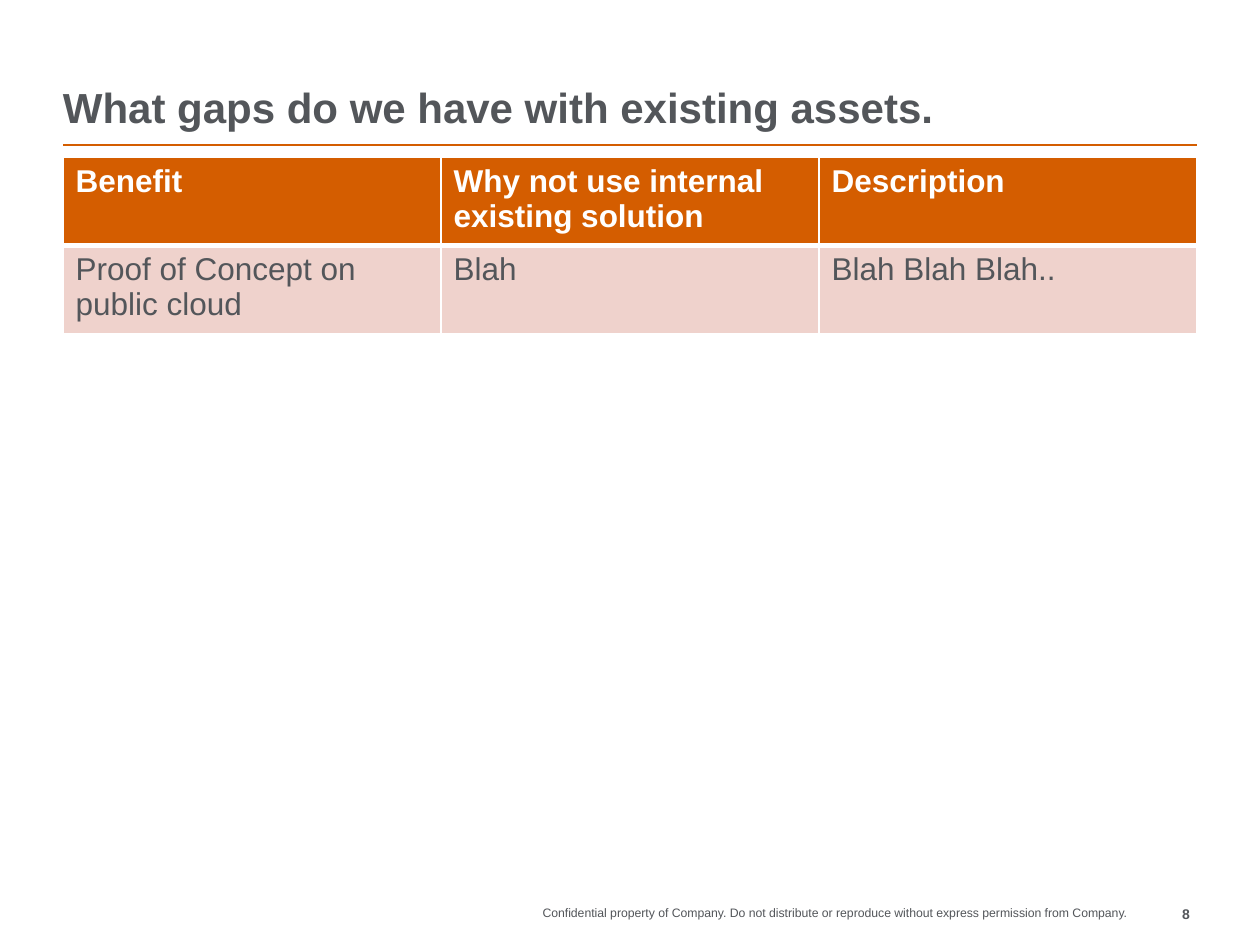
from dataclasses import dataclass

from lxml.etree import SubElement
from pptx import Presentation
from pptx.dml.color import RGBColor
from pptx.enum.shapes import MSO_CONNECTOR
from pptx.enum.text import MSO_ANCHOR, PP_ALIGN
from pptx.oxml.ns import qn
from pptx.util import Pt


@dataclass(frozen=True)
class Theme:
    font: str = "Arial"
    orange: str = "D45D00"
    pink: str = "EFD2CC"
    gray: str = "53565A"
    white: str = "FFFFFF"
    title: int = 24
    body: int = 18
    note: int = 7
    page: int = 8


THEME = Theme()
LEFT, WIDTH = 36, 648
ROWS = [
    ["Benefit", "Why not use internal existing solution", "Description"],
    ["Proof of Concept on public cloud", "Blah", "Blah Blah Blah.."],
]
NOTE = ("Confidential property of Company. Do not distribute or reproduce "
        "without express permission from Company.")


def write(frame, text, size, color, bold=False, align=PP_ALIGN.LEFT):
    para = frame.paragraphs[0]
    para.alignment = align
    run = para.add_run()
    run.text = text
    style = {"name": THEME.font, "size": Pt(size), "bold": bold}
    for key, value in style.items():
        setattr(run.font, key, value)
    run.font.color.rgb = RGBColor.from_string(color)


def add_text(slide, box, text, size, anchor=MSO_ANCHOR.TOP, **style):
    frame = slide.shapes.add_textbox(*map(Pt, box)).text_frame
    form = {"word_wrap": True, "vertical_anchor": anchor, "margin_left": 0,
            "margin_top": 0, "margin_right": 0, "margin_bottom": 0}
    for key, value in form.items():
        setattr(frame, key, value)
    write(frame, text, size, THEME.gray, **style)


def add_rule(slide, top):
    ends = map(Pt, (LEFT, top, LEFT + WIDTH, top))
    rule = slide.shapes.add_connector(MSO_CONNECTOR.STRAIGHT, *ends)
    rule.line.color.rgb = RGBColor.from_string(THEME.orange)
    rule.line.width = Pt(1)
    SubElement(rule._element.spPr, qn("a:effectLst"))


def set_edges(cell, edges):
    """Draw white cell borders, given widths by side; call before the fill."""
    props = cell._tc.get_or_add_tcPr()
    for side, width in edges.items():
        edge = SubElement(props, qn(f"a:ln{side}"), w=str(Pt(width)))
        fill = SubElement(edge, qn("a:solidFill"))
        SubElement(fill, qn("a:srgbClr"), val=THEME.white)


def add_grid(slide, top, high):
    box = map(Pt, (LEFT, top, WIDTH, high * len(ROWS)))
    grid = slide.shapes.add_table(len(ROWS), len(ROWS[0]), *box).table
    for r, row in enumerate(ROWS):
        head = r == 0
        back = THEME.orange if head else THEME.pink
        ink = THEME.white if head else THEME.gray
        edges = {"L": 1, "R": 1, "T": 1 if head else 3, "B": 3 if head else 1}
        for c, text in enumerate(row):
            cell = grid.cell(r, c)
            set_edges(cell, edges)
            cell.fill.solid()
            cell.fill.fore_color.rgb = RGBColor.from_string(back)
            write(cell.text_frame, text, THEME.body, ink, bold=head)


def main():
    deck = Presentation()
    deck.slide_width, deck.slide_height = Pt(720), Pt(540)
    slide = deck.slides.add_slide(deck.slide_layouts[6])
    add_rule(slide, 82.8)
    add_text(slide, (240, 517.5, 404, 16.5), NOTE, THEME.note,
             align=PP_ALIGN.RIGHT)
    add_text(slide, (644, 517.5, 36, 16.5), "8", THEME.page, bold=True,
             align=PP_ALIGN.RIGHT)
    add_text(slide, (LEFT, 15, WIDTH, 60.5),
             "What gaps do we have with existing assets.", THEME.title,
             anchor=MSO_ANCHOR.BOTTOM, bold=True)
    add_grid(slide, 90, 29.2)
    deck.save("out.pptx")


if __name__ == "__main__":
    main()
